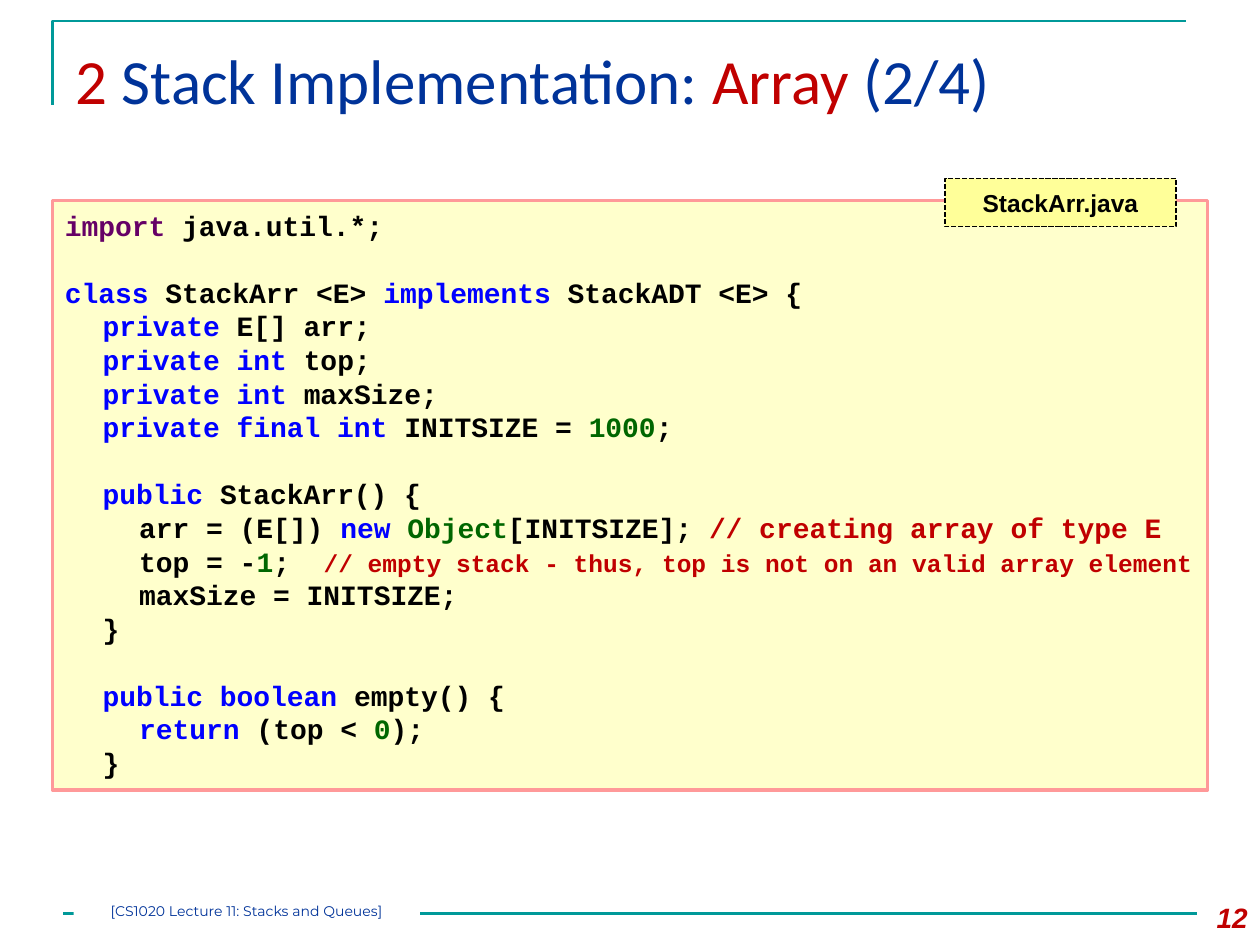
import dataclasses
import typing

import pptx
import pptx.dml.color
import pptx.enum.dml
import pptx.enum.shapes
import pptx.enum.text
import pptx.oxml.ns
import pptx.util
from lxml import etree

Pt = pptx.util.Pt
Align = pptx.enum.text.PP_ALIGN
Anchor = pptx.enum.text.MSO_ANCHOR


@dataclasses.dataclass(frozen=True)
class Theme:
    teal: str = "009999"
    navy: str = "003399"
    red: str = "C00000"
    black: str = "000000"
    blue: str = "0000FF"
    green: str = "006600"
    plum: str = "660066"
    white: str = "FFFFFF"
    cream: str = "FFFFCC"
    lemon: str = "FFFF99"
    pink: str = "FF9999"
    head: float = 36
    code: float = 16
    note: float = 14
    page: float = 16
    foot: float = 8
    pitch: float = 19.2
    tabs: tuple[float, ...] = (21.6, 42.5, 63.4, 85)


THEME = Theme()


class Bit(typing.NamedTuple):
    text: str
    color: str = THEME.black
    size: float | None = None


class Line(typing.NamedTuple):
    depth: int
    bits: tuple[Bit, ...]
    gap: bool = False


class Box(typing.NamedTuple):
    left: float
    top: float
    width: float
    height: float


class Style(typing.NamedTuple):
    name: str
    size: float
    bold: bool = False
    slant: bool = False


def key(text: str) -> Bit:
    return Bit(text, THEME.blue)


def lit(text: str) -> Bit:
    return Bit(text, THEME.green)


def note(text: str, size: float | None = None) -> Bit:
    return Bit(text, THEME.red, size)


LINES = (
    Line(0, (Bit("import ", THEME.plum), Bit("java.util.*;"))),
    Line(0, (key("class "), Bit("StackArr <E> "), key("implements "), Bit("StackADT <E> {")), True),
    Line(1, (key("private"), Bit(" E[] arr;"))),
    Line(1, (key("private int "), Bit("top;"))),
    Line(1, (key("private int "), Bit("maxSize;"))),
    Line(1, (key("private final int "), Bit("INITSIZE = "), lit("1000"), Bit(";"))),
    Line(1, (key("public "), Bit("StackArr() {")), True),
    Line(2, (Bit("arr = (E[]) "), key("new "), lit("Object"), Bit("[INITSIZE]; "),
             note("// creating array of type E"))),
    Line(2, (Bit("top = -"), lit("1"), Bit(";  "),
             note("// empty stack - thus, top is not on an valid array element", THEME.note))),
    Line(2, (Bit("maxSize = INITSIZE;"),)),
    Line(1, (Bit("}"),)),
    Line(1, (key("public boolean "), Bit("empty() {")), True),
    Line(2, (key("return"), Bit(" (top < "), lit("0"), Bit(");"))),
    Line(1, (Bit("}"),)),
)


def rgb(code: str) -> pptx.dml.color.RGBColor:
    return pptx.dml.color.RGBColor.from_string(code)


def place(shape: typing.Any, box: Box) -> None:
    shape.left, shape.top, shape.width, shape.height = map(Pt, box)


def stroke(shape: typing.Any, color: str, width: float) -> None:
    shape.line.color.rgb = rgb(color)
    shape.line.width = Pt(width)


def setup(frame: typing.Any, inset: Box, anchor: typing.Any = Anchor.TOP) -> None:
    frame.word_wrap = True
    frame.auto_size = pptx.enum.text.MSO_AUTO_SIZE.NONE
    frame.vertical_anchor = anchor
    frame.margin_left, frame.margin_top, frame.margin_right, frame.margin_bottom = map(Pt, inset)


def write(para: typing.Any, bits: tuple[Bit, ...], style: Style, align: typing.Any = Align.LEFT) -> None:
    para.alignment = align
    font = para.font
    font.name, font.bold, font.italic = style.name, style.bold, style.slant
    mixed = any(bit.size for bit in bits)
    if not mixed:
        font.size = Pt(style.size)
    shared = len({bit.color for bit in bits}) == 1
    if shared:
        font.color.rgb = rgb(bits[0].color)
    for bit in bits:
        run = para.add_run()
        run.text = bit.text
        if mixed:
            run.font.size = Pt(bit.size or style.size)
        if not shared:
            run.font.color.rgb = rgb(bit.color)


def block(slide: typing.Any, box: Box, fill: str) -> typing.Any:
    shape = slide.shapes.add_shape(pptx.enum.shapes.MSO_SHAPE.RECTANGLE, *map(Pt, box))
    shape.shadow.inherit = False
    shape.fill.solid()
    shape.fill.fore_color.rgb = rgb(fill)
    return shape


def rules(slide: typing.Any) -> None:
    draft = slide.shapes.build_freeform(Pt(30), Pt(60), scale=1.0)
    draft.add_line_segments([(Pt(30), Pt(12)), (Pt(678), Pt(12))], close=False)
    frame = draft.convert_to_shape()
    frame.shadow.inherit = False
    frame.fill.background()
    stroke(frame, THEME.teal, 1.5)
    base = slide.shapes.add_connector(
        pptx.enum.shapes.MSO_CONNECTOR.STRAIGHT, Pt(36), Pt(522), Pt(684), Pt(522))
    stroke(base, THEME.teal, 1.5)
    etree.SubElement(base._element.spPr, pptx.oxml.ns.qn("a:effectLst"))


def code(slide: typing.Any, box: Box, lines: tuple[Line, ...]) -> None:
    shape = block(slide, box, THEME.cream)
    stroke(shape, THEME.pink, 2)
    frame = shape.text_frame
    setup(frame, Box(7.2, 4.5, 0, 3.6))
    style = Style("Courier New", THEME.code, True)
    for at, line in enumerate(lines):
        para = frame.add_paragraph() if at else frame.paragraphs[0]
        stops = etree.SubElement(para._p.get_or_add_pPr(), pptx.oxml.ns.qn("a:tabLst"))
        for stop in THEME.tabs:
            etree.SubElement(stops, pptx.oxml.ns.qn("a:tab"), pos=str(int(Pt(stop))), algn="l")
        para.line_spacing = Pt(THEME.pitch)
        if line.gap:
            para.space_before = Pt(THEME.pitch)
        first = line.bits[0]
        lead = Bit("\t" * line.depth + first.text, first.color, first.size)
        write(para, (lead, *line.bits[1:]), style)


def main() -> None:
    deck = pptx.Presentation()
    deck.slide_width, deck.slide_height = Pt(720), Pt(540)
    slide = deck.slides.add_slide(deck.slide_layouts[5])
    rules(slide)

    title = slide.shapes.title
    place(title, Box(36, 18, 648, 62))
    setup(title.text_frame, Box(7.2, 5.8, 7.2, 3.6))
    write(title.text_frame.paragraphs[0],
          (Bit("2 ", THEME.red), Bit("Stack Implementation: ", THEME.navy),
           Bit("Array", THEME.red), Bit(" (2/4)", THEME.navy)),
          Style("Calibri", THEME.head))

    page = slide.shapes.add_textbox(*map(Pt, Box(672, 511, 48, 29)))
    setup(page.text_frame, Box(7.2, 3.6, 7.2, 3.6))
    write(page.text_frame.paragraphs[0], (Bit("12", THEME.red),),
          Style("Arial", THEME.page, True, True), Align.RIGHT)

    code(slide, Box(30, 114.5, 660, 337), LINES)

    label = block(slide, Box(540, 102, 132, 27.4), THEME.lemon)
    stroke(label, THEME.black, 1)
    label.line.dash_style = pptx.enum.dml.MSO_LINE.SQUARE_DOT
    setup(label.text_frame, Box(7.2, 3.6, 7.2, 3.6), Anchor.MIDDLE)
    write(label.text_frame.paragraphs[0], (Bit("StackArr.java"),),
          Style("Arial", THEME.note, True), Align.CENTER)

    foot = block(slide, Box(42, 516, 198, 12), THEME.white)
    foot.line.fill.background()
    setup(foot.text_frame, Box(0, 0, 0, 0))
    write(foot.text_frame.paragraphs[0],
          (Bit("[CS1020 Lecture 11: Stacks and Queues]", THEME.navy),),
          Style("Montserrat", THEME.foot), Align.CENTER)

    deck.save("out.pptx")


if __name__ == "__main__":
    main()
